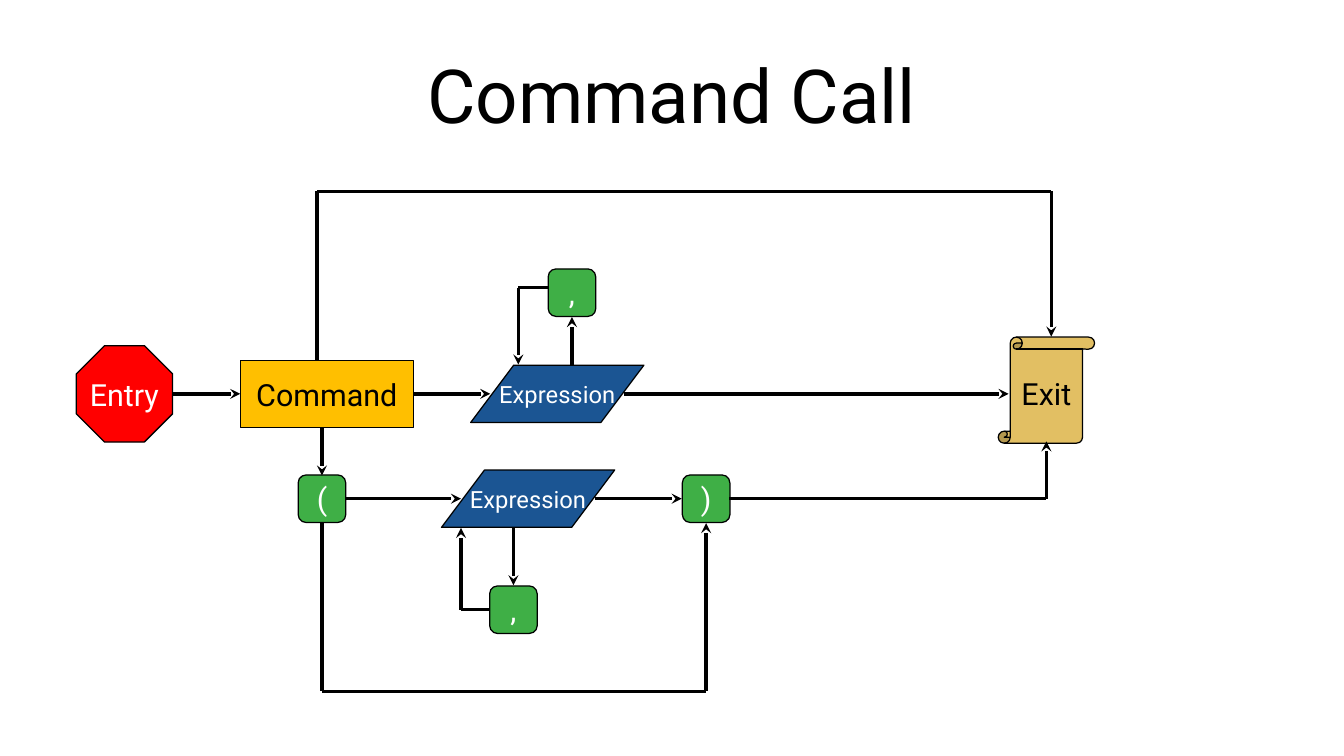
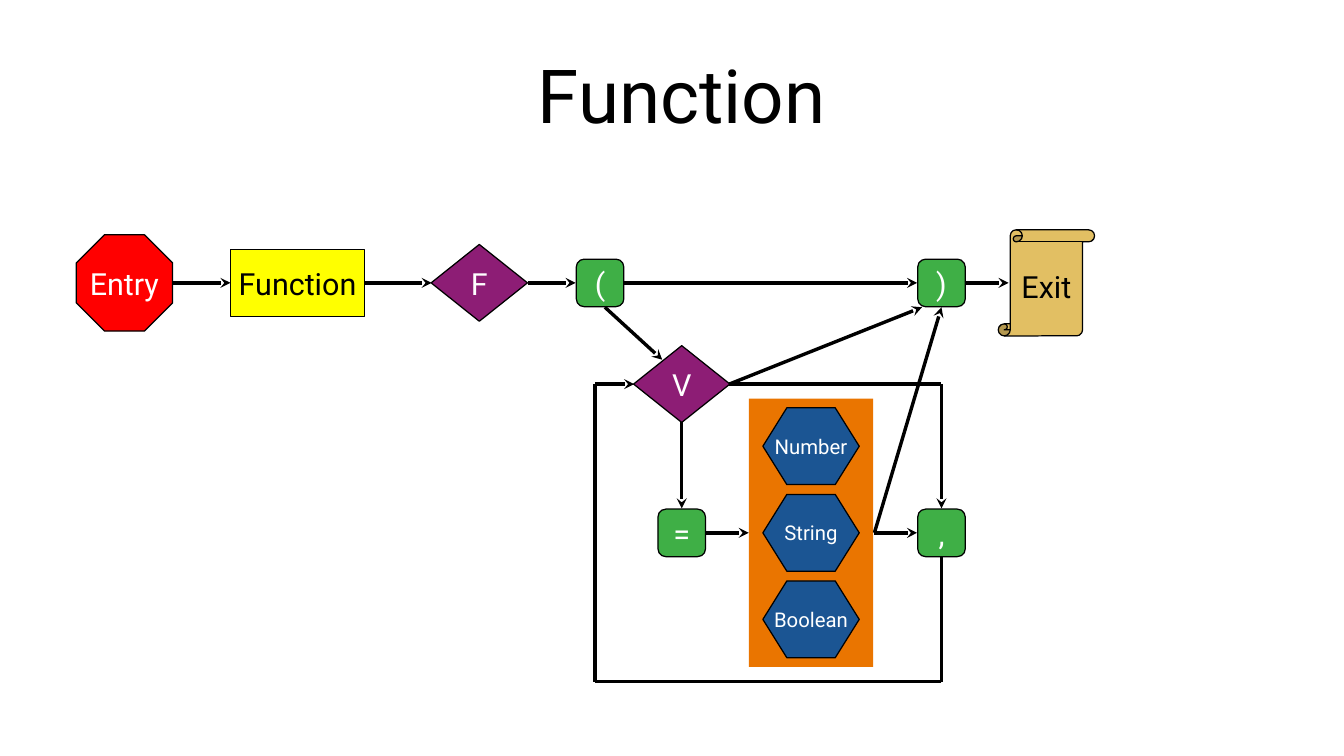
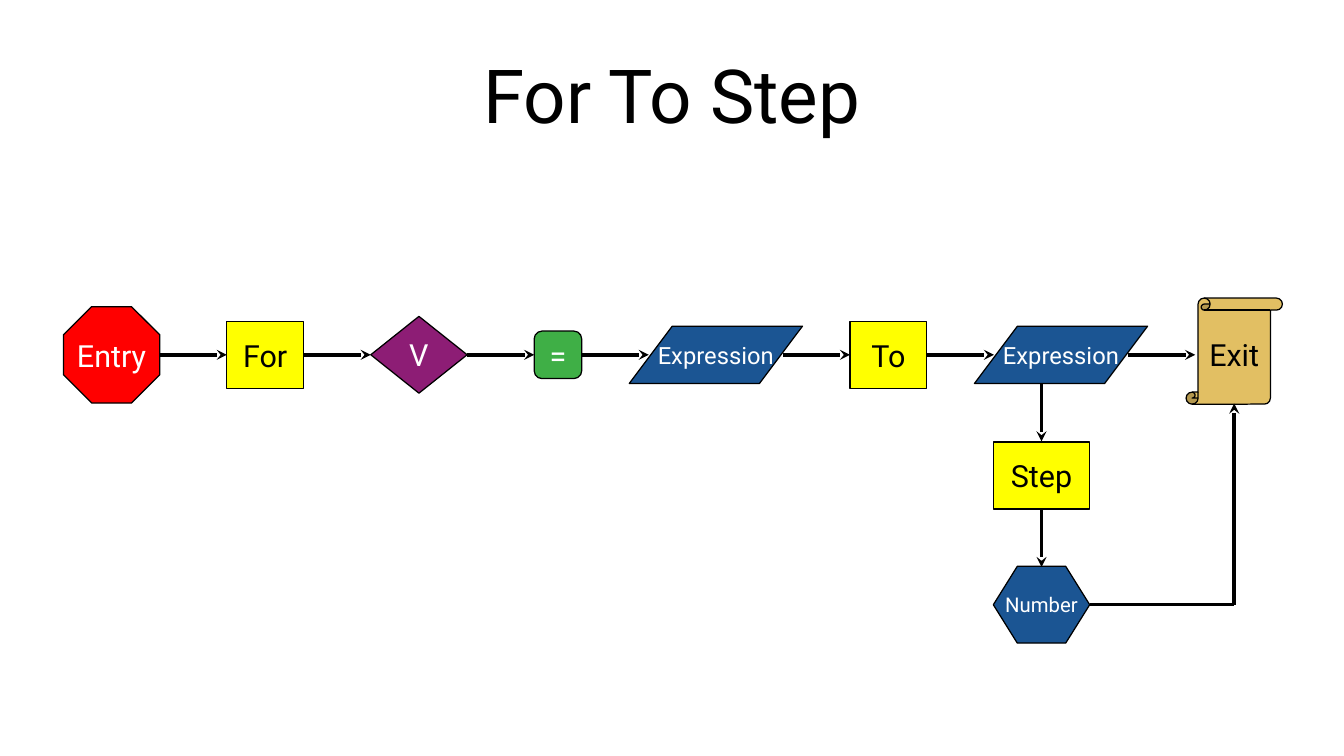
"""Build three syntax diagrams as slides of flow shapes joined by arrows."""
from dataclasses import dataclass

from lxml import etree
from pptx import Presentation
from pptx.dml.color import RGBColor
from pptx.enum.shapes import MSO_CONNECTOR, MSO_SHAPE
from pptx.enum.text import MSO_ANCHOR, PP_ALIGN
from pptx.oxml.ns import qn
from pptx.presentation import Presentation as Deck
from pptx.slide import Slide
from pptx.text.text import TextFrame
from pptx.util import Inches, Pt

FONT = "Roboto"
COLORS = {
    "black": "000000", "white": "FFFFFF", "red": "FF0000", "sand": "E2BF63",
    "amber": "FFBF00", "yellow": "FFFF00", "blue": "1B5593", "green": "3FAF46",
    "purple": "8D1D75", "orange": "EA7500",
}
Point = tuple[float, float]


@dataclass(frozen=True)
class Kind:
    """Look of one diagram symbol; inset is where arrows meet its sides."""
    shape: MSO_SHAPE
    fill: str
    width: float
    height: float
    ink: str = "white"
    size: int = 18
    adj: float | None = None
    inset: float = 0


@dataclass(frozen=True)
class Node:
    """A labelled symbol placed by its centre."""
    kind: Kind
    text: str
    x: float
    y: float
    width: float | None = None


@dataclass(frozen=True)
class Diagram:
    """One slide: title, symbols and arrow routes."""
    title: str
    nodes: list[Node]
    routes: list[list[Point]]
    title_shift: float = 0


ENTRY = Kind(MSO_SHAPE.OCTAGON, "red", 0.79, 0.79, adj=0.293)
EXIT = Kind(MSO_SHAPE.VERTICAL_SCROLL, "sand", 0.79, 0.87, "black", adj=0.125, inset=0.08)
COMMAND = Kind(MSO_SHAPE.RECTANGLE, "amber", 1.42, 0.55, "black")
KEYWORD = Kind(MSO_SHAPE.RECTANGLE, "yellow", 0.63, 0.55, "black")
EXPRESSION = Kind(MSO_SHAPE.PARALLELOGRAM, "blue", 1.42, 0.47, size=14, adj=0.75, inset=0.16)
TOKEN = Kind(MSO_SHAPE.ROUNDED_RECTANGLE, "green", 0.39, 0.39, adj=0.167)
NAME = Kind(MSO_SHAPE.DIAMOND, "purple", 0.79, 0.63)
TYPE = Kind(MSO_SHAPE.HEXAGON, "blue", 0.79, 0.63, size=12, adj=0.312)
PANEL = Kind(MSO_SHAPE.RECTANGLE, "orange", 1.02, 2.2)


def rgb(name: str) -> RGBColor:
    """Look up a palette colour."""
    return RGBColor.from_string(COLORS[name])


def set_text(tf: TextFrame, text: str, size: int, ink: str) -> None:
    """Write one centred paragraph."""
    tf.vertical_anchor = MSO_ANCHOR.MIDDLE
    p = tf.paragraphs[0]
    p.text = text
    p.alignment = PP_ALIGN.CENTER
    p.font.name = FONT
    p.font.size = Pt(size)
    p.font.color.rgb = rgb(ink)


def add_title(s: Slide, text: str, shift: float) -> None:
    """Add the slide title."""
    tf = s.shapes.add_textbox(Inches(0.55 + shift), Inches(0.25), Inches(9.92), Inches(1.04)).text_frame
    tf.word_wrap = True
    tf.margin_left = tf.margin_right = tf.margin_top = tf.margin_bottom = 0
    set_text(tf, text, 44, "black")


def add_node(s: Slide, node: Node) -> None:
    """Draw a symbol; one without a label has no outline."""
    kind = node.kind
    width = node.width or kind.width
    sp = s.shapes.add_shape(
        kind.shape, Inches(node.x - width / 2), Inches(node.y - kind.height / 2),
        Inches(width), Inches(kind.height))
    sp.shadow.inherit = False
    if kind.adj is not None:
        sp.adjustments[0] = kind.adj
    sp.fill.solid()
    sp.fill.fore_color.rgb = rgb(kind.fill)
    if not node.text:
        sp.line.fill.background()
        return
    sp.line.color.rgb = rgb("black")
    sp.line.width = Pt(0)
    sp.text_frame.word_wrap = False
    set_text(sp.text_frame, node.text, kind.size, kind.ink)


def add_route(s: Slide, points: list[Point]) -> None:
    """Draw straight segments through the points, with an arrowhead at the end."""
    for start, end in zip(points, points[1:]):
        line = s.shapes.add_connector(
            MSO_CONNECTOR.STRAIGHT, *(Inches(v) for v in (*start, *end)))
        line.line.color.rgb = rgb("black")
        line.line.width = Pt(0)
        props = line.element.spPr
        etree.SubElement(props, qn("a:effectLst"))
    etree.SubElement(props.find(qn("a:ln")), qn("a:tailEnd"), type="stealth")


def command_call() -> Diagram:
    """Describe a command with optional arguments."""
    main, lower = 3.23, 4.09
    nodes = [
        Node(ENTRY, "Entry", 1.02, main), Node(EXIT, "Exit", 8.58, 3.2),
        Node(COMMAND, "Command", 2.68, main), Node(EXPRESSION, "Expression", 4.57, main),
        Node(TOKEN, ",", 4.69, 2.4), Node(TOKEN, "(", 2.64, lower),
        Node(EXPRESSION, "Expression", 4.33, lower), Node(TOKEN, ")", 5.79, lower),
        Node(TOKEN, ",", 4.21, 5),
    ]
    routes = [
        [(1.42, main), (1.97, main)],
        [(3.39, main), (4.02, main)],
        [(5.12, main), (8.27, main)],
        [(2.6, 2.95), (2.6, 1.57), (8.62, 1.57), (8.62, 2.76)],
        [(4.69, 2.99), (4.69, 2.6)],
        [(4.49, 2.36), (4.25, 2.36), (4.25, 2.99)],
        [(2.64, 3.5), (2.64, 3.9)],
        [(2.83, lower), (3.78, lower)],
        [(4.88, lower), (5.59, lower)],
        [(5.98, lower), (8.58, lower), (8.58, 3.62)],
        [(4.21, 4.33), (4.21, 4.8)],
        [(4.02, 5), (3.78, 5), (3.78, 4.33)],
        [(2.64, 4.29), (2.64, 5.67), (5.79, 5.67), (5.79, 4.29)],
    ]
    return Diagram("Command Call", nodes, routes)


def function() -> Diagram:
    """Describe a function header with typed default values."""
    main, names, values = 2.32, 3.15, 4.37
    nodes = [
        Node(ENTRY, "Entry", 1.02, main), Node(KEYWORD, "Function", 2.44, main, 1.1),
        Node(NAME, "F", 3.93, main), Node(TOKEN, "(", 4.92, main),
        Node(TOKEN, ")", 7.72, main), Node(EXIT, "Exit", 8.58, main),
        Node(NAME, "V", 5.59, names), Node(TOKEN, "=", 5.59, values),
        Node(TOKEN, ",", 7.72, values), Node(PANEL, "", 6.65, values),
    ]
    nodes += [Node(TYPE, text, 6.65, values + 0.71 * row)
              for row, text in enumerate(("Number", "String", "Boolean"), -1)]
    routes = [[(x1, main), (x2, main)] for x1, x2 in (
        (1.42, 1.89), (2.99, 3.54), (4.33, 4.72), (5.12, 7.52), (7.91, 8.27))]
    routes += [
        [(4.96, 2.52), (5.43, 2.95)],
        [(5.59, 3.46), (5.59, 4.17)],
        [(5.79, values), (6.14, values)],
        [(7.17, values), (7.52, values)],
        [(7.17, values), (7.72, 2.52)],
        [(5.98, names), (7.56, 2.52)],
        [(5.98, names), (7.72, names), (7.72, 4.17)],
        [(7.72, 4.57), (7.72, 5.59), (4.88, 5.59), (4.88, names), (5.2, names)],
    ]
    return Diagram("Function", nodes, routes, title_shift=0.08)


def for_to_step() -> Diagram:
    """Describe a counting loop as a row of symbols with equal arrows."""
    main, gap, x = 2.91, 0.55, 0.52
    row = [(ENTRY, "Entry"), (KEYWORD, "For"), (NAME, "V"), (TOKEN, "="),
           (EXPRESSION, "Expression"), (KEYWORD, "To"), (EXPRESSION, "Expression")]
    nodes, routes = [], []
    for kind, text in row:
        nodes.append(Node(kind, text, x - kind.inset + kind.width / 2, main))
        x += kind.width - 2 * kind.inset
        routes.append([(x, main), (x + gap, main)])
        x += gap
    nodes += [Node(EXIT, "Exit", 10.12, 2.88), Node(KEYWORD, "Step", 8.54, 3.9, 0.79),
              Node(TYPE, "Number", 8.54, 4.96)]
    routes += [
        [(8.54, 3.15), (8.54, 3.62)],
        [(8.54, 4.17), (8.54, 4.65)],
        [(8.94, 4.96), (10.12, 4.96), (10.12, 3.31)],
    ]
    return Diagram("For To Step", nodes, routes)


def add_diagram(prs: Deck, diagram: Diagram) -> None:
    """Add one slide for a diagram."""
    s = prs.slides.add_slide(prs.slide_layouts[6])
    add_title(s, diagram.title, diagram.title_shift)
    for node in diagram.nodes:
        add_node(s, node)
    for route in diagram.routes:
        add_route(s, route)


def main() -> None:
    """Build and save the presentation."""
    prs = Presentation()
    prs.slide_width, prs.slide_height = Inches(11.02), Inches(6.2)
    for diagram in (command_call(), function(), for_to_step()):
        add_diagram(prs, diagram)
    prs.save("out.pptx")


if __name__ == "__main__":
    main()
